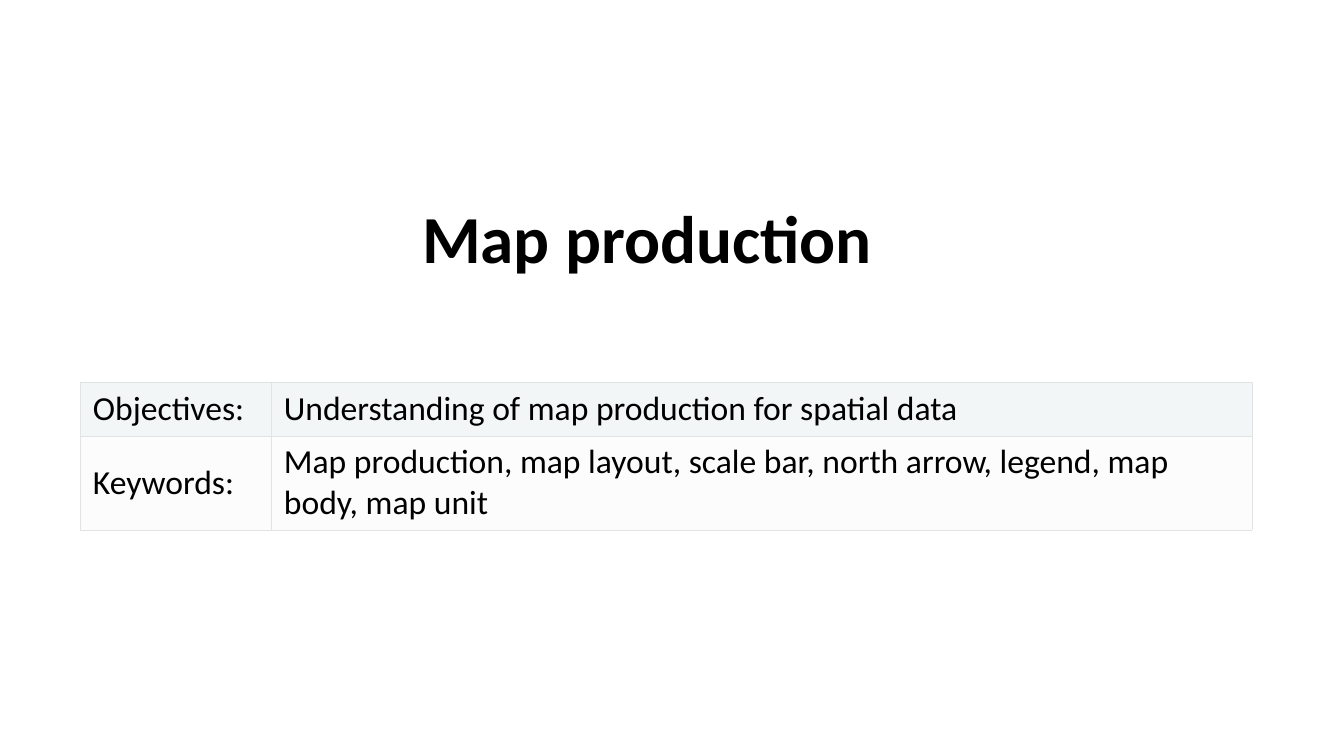
from dataclasses import dataclass

from lxml.etree import SubElement
from pptx import Presentation
from pptx.dml.color import RGBColor
from pptx.enum.text import MSO_ANCHOR as Anchor, MSO_AUTO_SIZE as AutoSize, PP_ALIGN as Align
from pptx.oxml.ns import qn
from pptx.util import Emu, Pt

PX_PER_INCH = 100.8


def px(n):
    return Emu(round(n * 914400 / PX_PER_INCH))


@dataclass(frozen=True)
class Theme:
    font: str = "Calibri"
    text: str = "000000"
    border: str = "E1E4E5"
    bands: tuple = ("F3F6F6", "FCFCFC")
    title_size: int = 48
    table_size: int = 24
    border_width: float = 0.6


class Deck:
    def __init__(self, theme, width, height):
        self.theme = theme
        self.prs = Presentation()
        self.prs.slide_width, self.prs.slide_height = px(width), px(height)
        self.s = None

    def add_slide(self):
        self.s = self.prs.slides.add_slide(self.prs.slide_layouts[5])

    def add_run(self, p, text, size, bold=False):
        r = p.add_run()
        r.text = text
        r.font.name = self.theme.font
        r.font.size = Pt(size)
        r.font.bold = bold
        r.font.color.rgb = RGBColor.from_string(self.theme.text)

    def title(self, text, x, y, w, h):
        sp = self.s.shapes.title
        sp.left, sp.top, sp.width, sp.height = map(px, (x, y, w, h))
        tf = sp.text_frame
        tf.margin_left = tf.margin_top = tf.margin_right = tf.margin_bottom = 0
        tf.vertical_anchor = Anchor.MIDDLE
        tf.word_wrap = True
        tf.auto_size = AutoSize.SHAPE_TO_FIT_TEXT
        p = tf.paragraphs[0]
        p.alignment = Align.LEFT
        self.add_run(p, text, self.theme.title_size, bold=True)

    def border(self, cell):
        tc_pr = cell._tc.get_or_add_tcPr()
        for side in ("a:lnL", "a:lnR", "a:lnT", "a:lnB"):
            ln = SubElement(tc_pr, qn(side), w=str(Pt(self.theme.border_width)))
            fill = SubElement(ln, qn("a:solidFill"))
            SubElement(fill, qn("a:srgbClr"), val=self.theme.border)

    def table(self, rows, x, y, widths, heights):
        frame = self.s.shapes.add_table(
            len(rows), len(widths), px(x), px(y), px(sum(widths)), px(sum(heights)))
        table = frame.table
        table.first_row = table.horz_banding = False
        for column, width in zip(table.columns, widths):
            column.width = px(width)
        for i, (texts, height) in enumerate(zip(rows, heights)):
            table.rows[i].height = px(height)
            for j, text in enumerate(texts):
                cell = table.cell(i, j)
                self.border(cell)
                cell.fill.solid()
                cell.fill.fore_color.rgb = RGBColor.from_string(self.theme.bands[i % 2])
                cell.vertical_anchor = Anchor.MIDDLE
                cell.margin_left = cell.margin_right = px(13)
                cell.margin_top = cell.margin_bottom = px(6)
                self.add_run(cell.text_frame.paragraphs[0], text, self.theme.table_size)


def main():
    deck = Deck(Theme(), 1344, 756)
    deck.add_slide()
    deck.title("Map production", 422, 196, 538, 82)
    deck.table(
        [
            ("Objectives:", "Understanding of map production for spatial data"),
            ("Keywords:", "Map production, map layout, scale bar, north arrow, "
                          "legend, map body, map unit"),
        ],
        80, 382, widths=(191, 981), heights=(54, 94))
    deck.prs.save("out.pptx")


if __name__ == "__main__":
    main()
